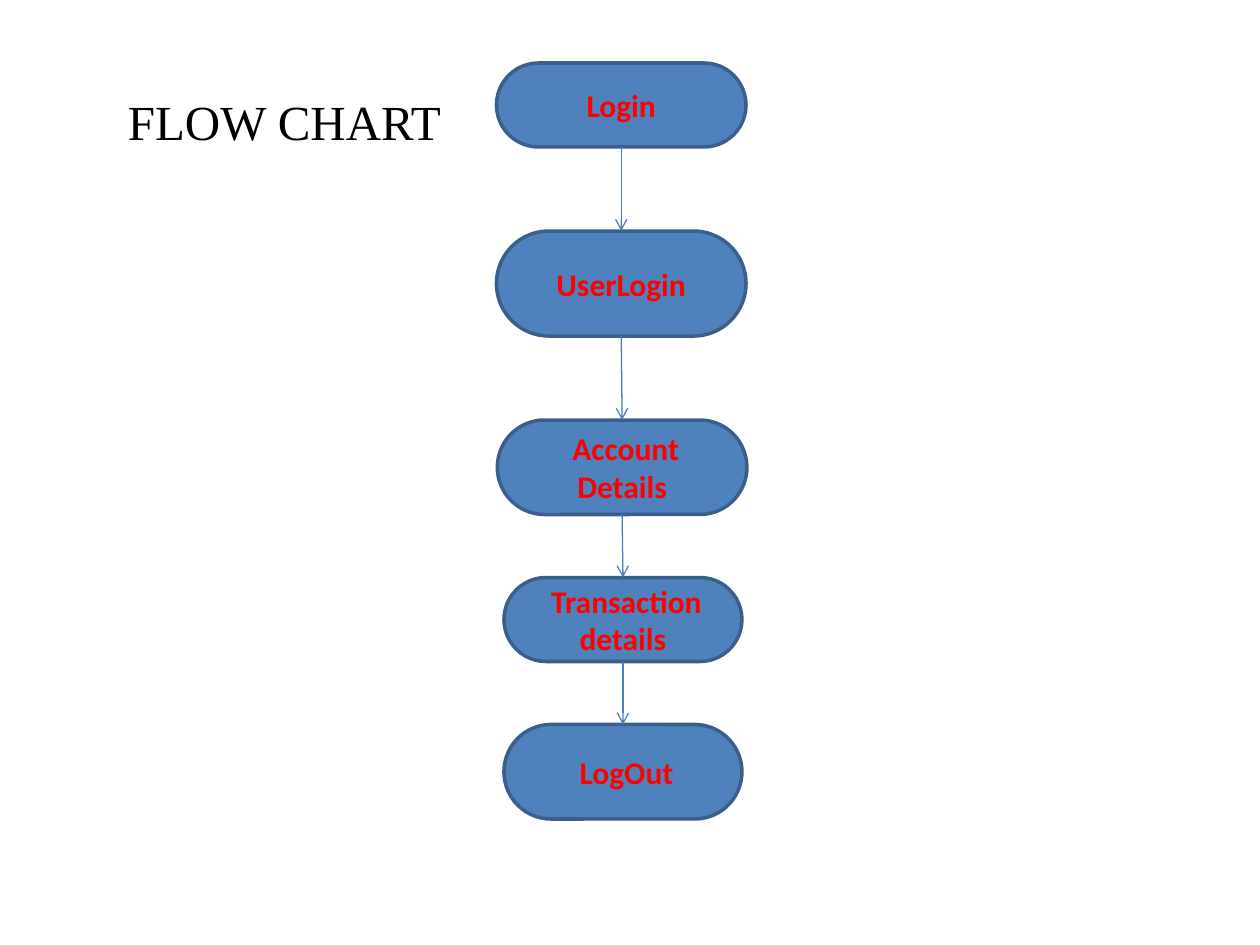
from itertools import pairwise

from lxml import etree
from pptx import Presentation
from pptx.dml.color import RGBColor
from pptx.enum import shapes, text
from pptx.oxml.ns import qn
from pptx.util import Pt

STEPS = [
    ("Login", 283.7, 36, 142.6, 48),
    (" UserLogin ", 283.7, 132, 142.6, 60),
    (" Account Details", 284.2, 240, 142.6, 54),
    (" Transaction details", 288, 330, 136, 48),
    (" LogOut", 288, 414, 136, 54),
]


def tint(code):
    return RGBColor.from_string(code)


def write(frame, words, face, size, code, bold, align):
    frame.word_wrap = True
    frame.vertical_anchor = text.MSO_ANCHOR.MIDDLE
    para = frame.paragraphs[0]
    para.alignment = align
    run = para.add_run()
    run.text = words
    font = run.font
    font.name, font.size, font.bold = face, Pt(size), bold
    font.color.rgb = tint(code)


def add_title(slide, words):
    box = slide.shapes.add_textbox(Pt(66), Pt(24), Pt(636), Pt(90))
    write(box.text_frame, words, "Times New Roman", 28, "000000", False,
          text.PP_ALIGN.LEFT)


def add_step(slide, words, *place):
    step = slide.shapes.add_shape(shapes.MSO_SHAPE.ROUNDED_RECTANGLE,
                                  *map(Pt, place))
    step.adjustments[0] = 0.5
    step.shadow.inherit = False
    step.fill.solid()
    step.fill.fore_color.rgb = tint("4F81BD")
    step.line.color.rgb = tint("3A5F8C")
    step.line.width = Pt(2)
    write(step.text_frame, words, "Calibri", 18, "FF0000", True,
          text.PP_ALIGN.CENTER)
    return step


def add_arrow(slide, start, end):
    link = slide.shapes.add_connector(shapes.MSO_CONNECTOR.STRAIGHT, 0, 0, 0, 0)
    link.begin_connect(start, 2)
    link.end_connect(end, 0)
    link.line.color.rgb = tint("4B7EBC")
    link.line.width = Pt(0.75)
    etree.SubElement(link.line._get_or_add_ln(), qn("a:tailEnd"), type="arrow")
    etree.SubElement(link._element.spPr, qn("a:effectLst"))


def main():
    deck = Presentation()
    deck.slide_width, deck.slide_height = Pt(720), Pt(540)
    slide = deck.slides.add_slide(deck.slide_layouts[6])
    add_title(slide, "FLOW CHART")
    steps = [add_step(slide, *step) for step in STEPS]
    for start, end in pairwise(steps):
        add_arrow(slide, start, end)
    deck.save("out.pptx")


if __name__ == "__main__":
    main()
